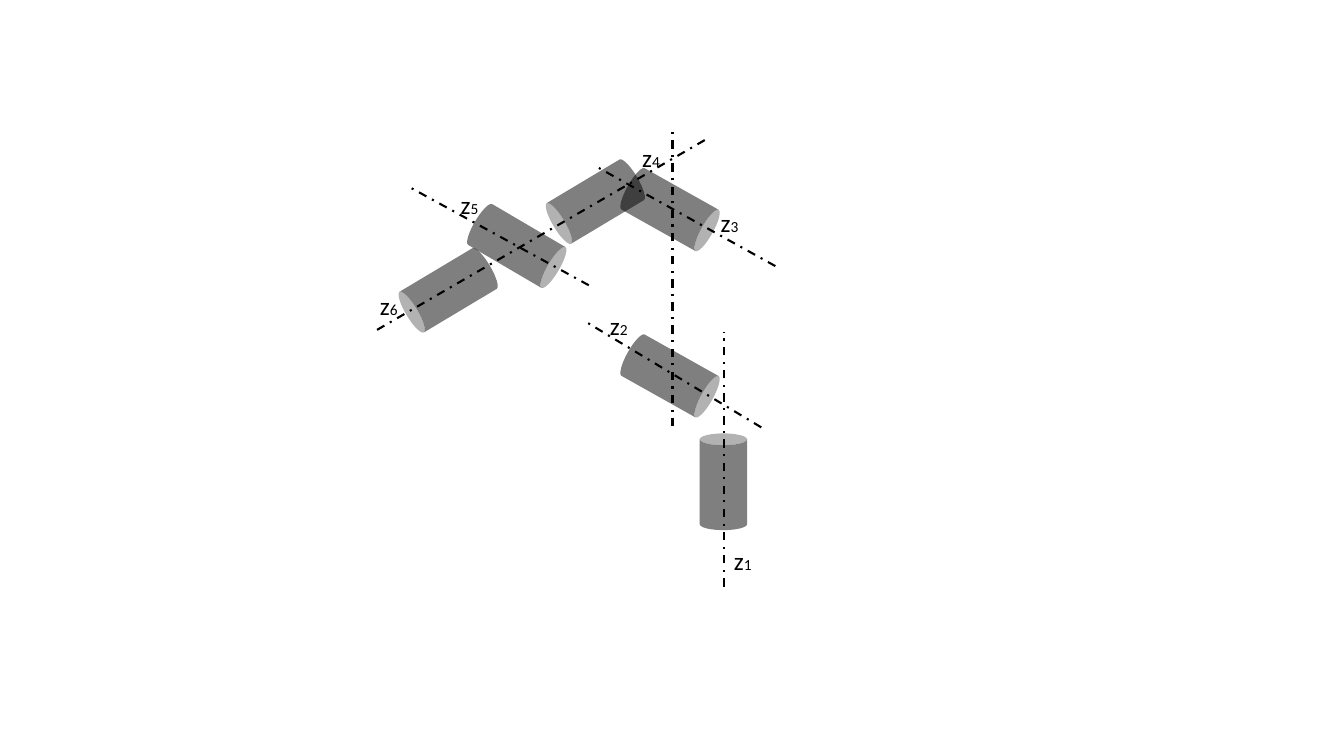
"""Draw the six joint axes of a robot arm as cylinders with centre lines."""
import lxml.etree
import pptx
import pptx.dml.color
import pptx.enum.dml
import pptx.enum.shapes
import pptx.enum.text
import pptx.oxml.ns
import pptx.util

THEME = {
    "ink": pptx.dml.color.RGBColor(0, 0, 0),
    "font": "Calibri",
    "letter": pptx.util.Pt(18),
    "index": pptx.util.Pt(11),
    "axis": pptx.util.Pt(1.5),
    "opacity": "50000",
}
ROWS = 75
JOINT_WIDTH, JOINT_HEIGHT = 4.7, 9.6
LABEL_WIDTH, LABEL_HEIGHT = 4.3, 4

deck = pptx.Presentation()
deck.slide_width = pptx.util.Inches(13.33)
deck.slide_height = pptx.util.Inches(7.5)
slide = deck.slides.add_slide(deck.slide_layouts[6])
cell = deck.slide_height / ROWS


def grid(*counts):
    """Turn counts of grid cells into slide lengths."""
    return [round(count * cell) for count in counts]


joints = [
    (48.9, 19.6, 120.4),
    (64.1, 16, 119.3),
    (42.1, 24, 239.1),
    (56.7, 15.2, 239.1),
    (64.1, 32.5, 119.3),
    (69.4, 43, 0),
]
for left, top, angle in joints:
    joint = slide.shapes.add_shape(
        pptx.enum.shapes.MSO_SHAPE.CAN,
        *grid(left, top, JOINT_WIDTH, JOINT_HEIGHT))
    joint.rotation = angle
    joint.shadow.inherit = False
    joint.line.fill.background()
    joint.fill.solid()
    joint.fill.fore_color.rgb = THEME["ink"]
    color = joint.fill._xPr.find(".//" + pptx.oxml.ns.qn("a:srgbClr"))
    lxml.etree.SubElement(
        color, pptx.oxml.ns.qn("a:alpha"), val=THEME["opacity"])

axes = [
    (71.8, 58.2, 71.8, 32.9),
    (75.5, 42.4, 57.9, 31.8),
    (66.7, 42.3, 66.7, 13.1),
    (76.9, 26.4, 59.1, 16.5),
    (69.9, 13.9, 37.1, 32.9),
    (58.4, 28.3, 40.5, 18.5),
]
for ends in axes:
    axis = slide.shapes.add_connector(
        pptx.enum.shapes.MSO_CONNECTOR.STRAIGHT, *grid(*ends))
    axis.line.color.rgb = THEME["ink"]
    axis.line.width = THEME["axis"]
    axis.line.dash_style = pptx.enum.dml.MSO_LINE.DASH_DOT
    lxml.etree.SubElement(
        axis._element.spPr, pptx.oxml.ns.qn("a:effectLst"))

label_corners = [
    (71.8, 53.6), (59.5, 30.3), (70.5, 20.1),
    (62.7, 13.6), (44.7, 18.3), (36.7, 28.3),
]
for number, corner in enumerate(label_corners, start=1):
    label = slide.shapes.add_textbox(
        *grid(*corner, LABEL_WIDTH, LABEL_HEIGHT)).text_frame
    label.word_wrap = True
    label.auto_size = pptx.enum.text.MSO_AUTO_SIZE.SHAPE_TO_FIT_TEXT
    for words, size in (("z", "letter"), (str(number), "index")):
        run = label.paragraphs[0].add_run()
        run.text = words
        run.font.name = THEME["font"]
        run.font.size = THEME[size]
        run.font.color.rgb = THEME["ink"]

deck.save("out.pptx")
